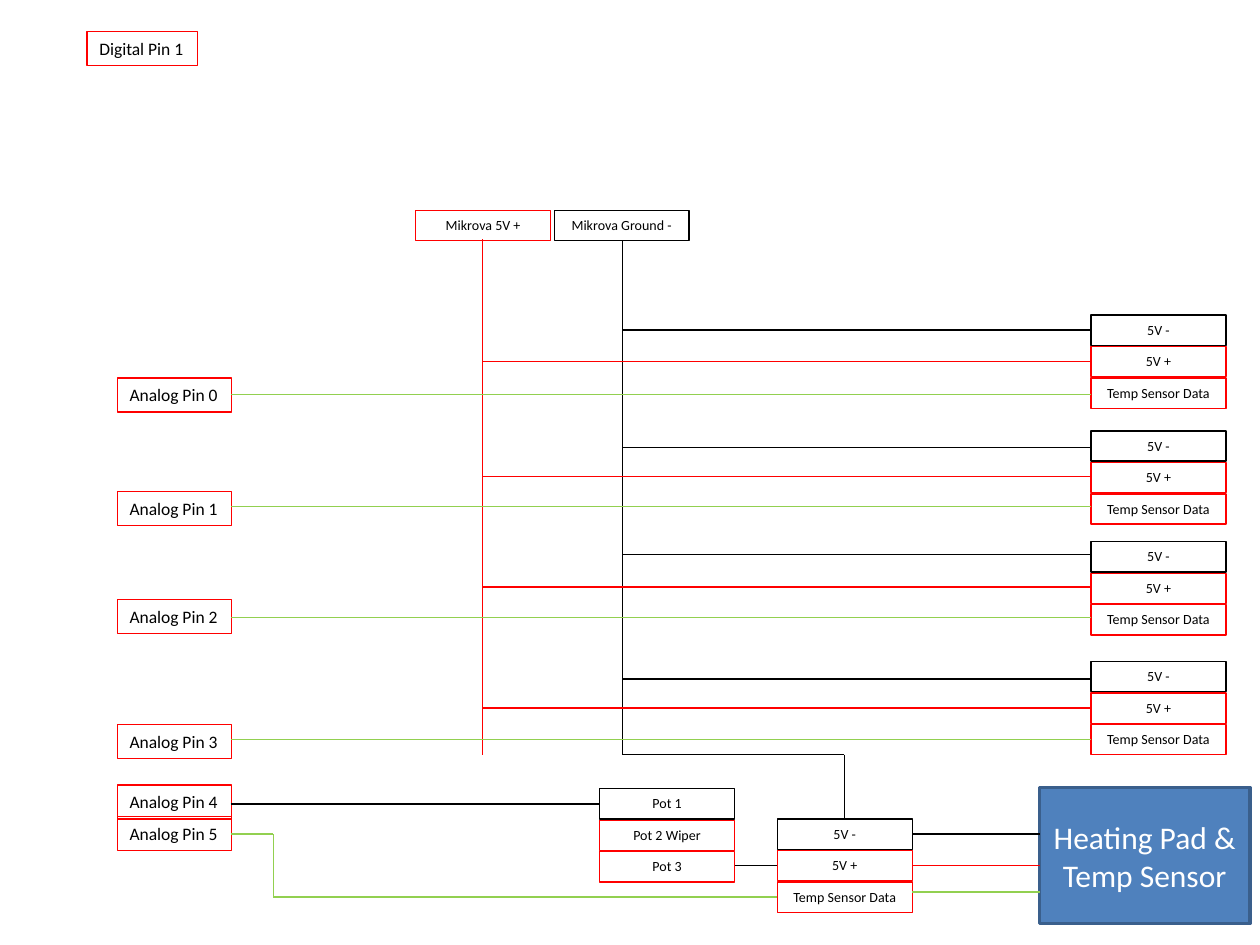
from lxml import etree
from pptx import Presentation
from pptx.dml.color import RGBColor
from pptx.enum.shapes import MSO_CONNECTOR as CONN, MSO_SHAPE as SHAPE
from pptx.enum.text import MSO_ANCHOR, MSO_AUTO_SIZE as AUTO, PP_ALIGN as ALIGN
from pptx.oxml.ns import qn
from pptx.util import Inches, Pt

BLACK = RGBColor(0x00, 0x00, 0x00)
WHITE = RGBColor(0xFF, 0xFF, 0xFF)
RED = RGBColor(0xFF, 0x00, 0x00)
GREEN = RGBColor(0x92, 0xD0, 0x50)
BLUE = RGBColor(0x4F, 0x81, 0xBD)
DARK_BLUE = RGBColor(0x3A, 0x5F, 0x8C)

SUPPLY_X, GROUND_X = 3.83, 4.94  # vertical rails
PIN_X, PIN_RIGHT = 0.93, 1.83
SENSOR_X = 8.66
TERMINAL_W, TERMINAL_H, TERMINAL_STEP = 1.07, 0.24, 0.25
SENSOR_TERMINALS = [("5V -", BLACK), ("5V +", RED), ("Temp Sensor Data", RED)]


class Diagram:
    font = "Calibri"
    line_width = Pt(0.75)

    def __init__(self, slide):
        self.shapes = slide.shapes

    def style_text(self, tf, text, size, color, align):
        tf.text = text
        p = tf.paragraphs[0]
        p.alignment = align
        font = p.runs[0].font
        font.name, font.size, font.color.rgb = self.font, Pt(size), color

    def label(self, text, x, y, w, h, color, size, align, wrap):
        sp = self.shapes.add_textbox(Inches(x), Inches(y), Inches(w), Inches(h))
        sp.line.color.rgb = color
        sp.line.width = self.line_width
        tf = sp.text_frame
        tf.word_wrap = wrap
        tf.auto_size = AUTO.SHAPE_TO_FIT_TEXT
        self.style_text(tf, text, size, BLACK, align)

    def pin(self, text, y, x=PIN_X, w=0.91):
        self.label(text, x, y, w, 0.27, RED, 10, ALIGN.LEFT, False)

    def terminal(self, text, x, y, color):
        self.label(text, x, y, TERMINAL_W, TERMINAL_H, color, 8, ALIGN.CENTER, True)

    def terminals(self, items, x, y):
        for i, (text, color) in enumerate(items):
            self.terminal(text, x, y + i * TERMINAL_STEP, color)

    def block(self, text, x, y, w, h):
        sp = self.shapes.add_shape(
            SHAPE.RECTANGLE, Inches(x), Inches(y), Inches(w), Inches(h))
        sp.shadow.inherit = False
        sp.fill.solid()
        sp.fill.fore_color.rgb = BLUE
        sp.line.color.rgb = DARK_BLUE
        sp.line.width = Pt(2)
        tf = sp.text_frame
        tf.word_wrap = True
        tf.vertical_anchor = MSO_ANCHOR.MIDDLE
        self.style_text(tf, text, 18, WHITE, ALIGN.CENTER)

    def wire(self, color, *points):
        for start, end in zip(points, points[1:]):
            ends = [Inches(v) for v in start + end]
            line = self.shapes.add_connector(CONN.STRAIGHT, *ends)
            line.line.color.rgb = color
            line.line.width = self.line_width
            etree.SubElement(line._element.spPr, qn("a:effectLst"))


def main():
    prs = Presentation()
    prs.slide_width, prs.slide_height = Inches(10), Inches(7.5)
    d = Diagram(prs.slides.add_slide(prs.slide_layouts[6]))

    # Digital pin
    d.pin("Digital Pin 1", 0.25, x=0.69, w=0.88)

    # Supply and ground rails
    d.terminal("Mikrova 5V +", 3.3, 1.67, RED)
    d.terminal("Mikrova Ground -", 4.4, 1.67, BLACK)
    d.wire(RED, (SUPPLY_X, 1.9), (SUPPLY_X, 5.99))
    d.wire(BLACK, (GROUND_X, 1.91), (GROUND_X, 5.99), (6.7, 5.99), (6.7, 6.5))

    # Four sensors: pin top, terminals top, then ground, 5V and data wires
    sensors = [
        (3.0, 2.5, 2.62, 2.87, 3.13),
        (3.9, 3.42, 3.55, 3.78, 4.02),
        (4.76, 4.3, 4.4, 4.66, 4.9),
        (5.75, 5.25, 5.39, 5.62, 5.87),
    ]
    for n, (pin_y, top, ground_y, supply_y, data_y) in enumerate(sensors):
        d.pin(f"Analog Pin {n}", pin_y)
        d.terminals(SENSOR_TERMINALS, SENSOR_X, top)
        d.wire(BLACK, (GROUND_X, ground_y), (SENSOR_X, ground_y))
        d.wire(RED, (SUPPLY_X, supply_y), (SENSOR_X, supply_y))
        d.wire(GREEN, (PIN_RIGHT, data_y), (SENSOR_X, data_y))

    # Potentiometer
    d.pin("Analog Pin 4", 6.23)
    d.terminals([("Pot 1", BLACK), ("Pot 2 Wiper", RED), ("Pot 3", RED)], 4.76, 6.26)
    d.wire(BLACK, (PIN_RIGHT, 6.38), (4.76, 6.38))
    d.wire(BLACK, (5.83, 6.87), (6.17, 6.87))

    # Heating pad and its sensor
    d.pin("Analog Pin 5", 6.48)
    d.terminals(SENSOR_TERMINALS, 6.17, 6.5)
    d.wire(GREEN, (PIN_RIGHT, 6.62), (2.17, 6.62), (2.17, 7.12), (6.17, 7.12))
    d.block("Heating Pad & Temp Sensor", 8.25, 6.25, 1.67, 1.08)
    for color, y in [(BLACK, 6.62), (RED, 6.87), (GREEN, 7.08)]:
        d.wire(color, (7.24, y), (8.25, y))

    prs.save("out.pptx")


if __name__ == "__main__":
    main()
